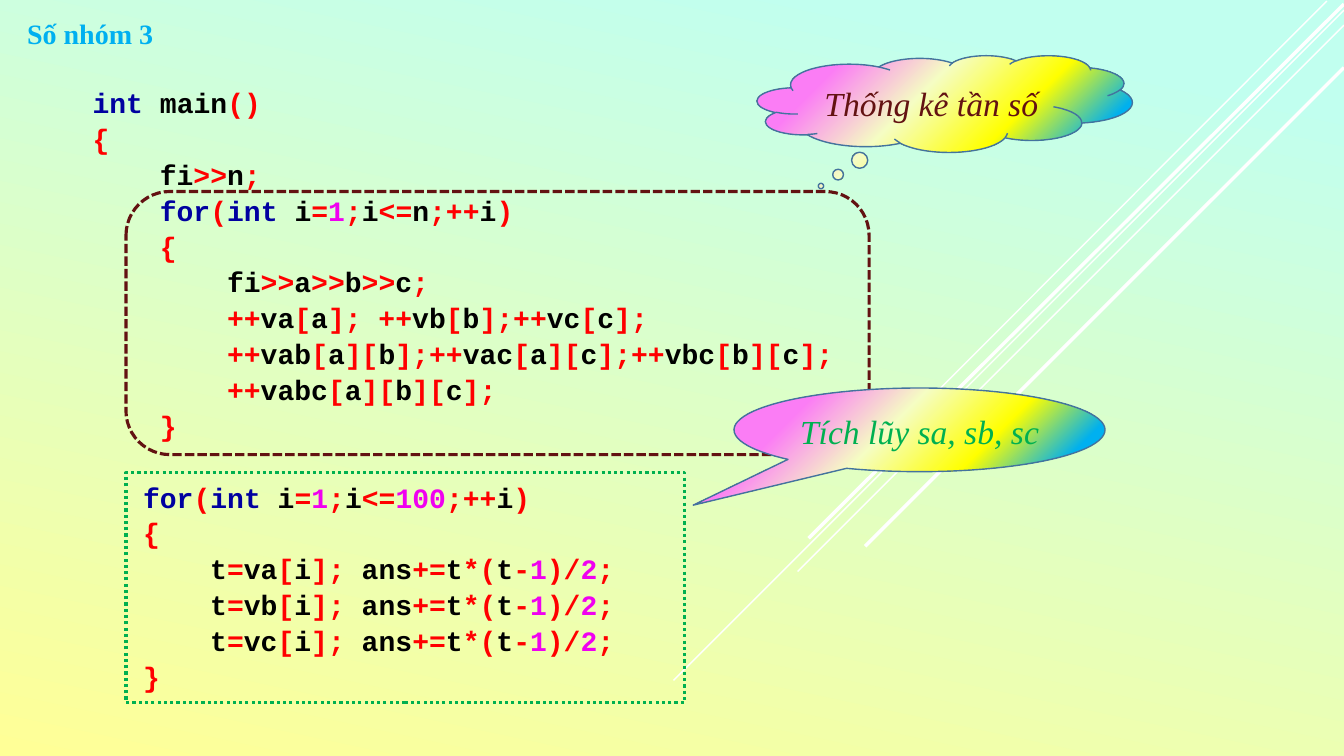
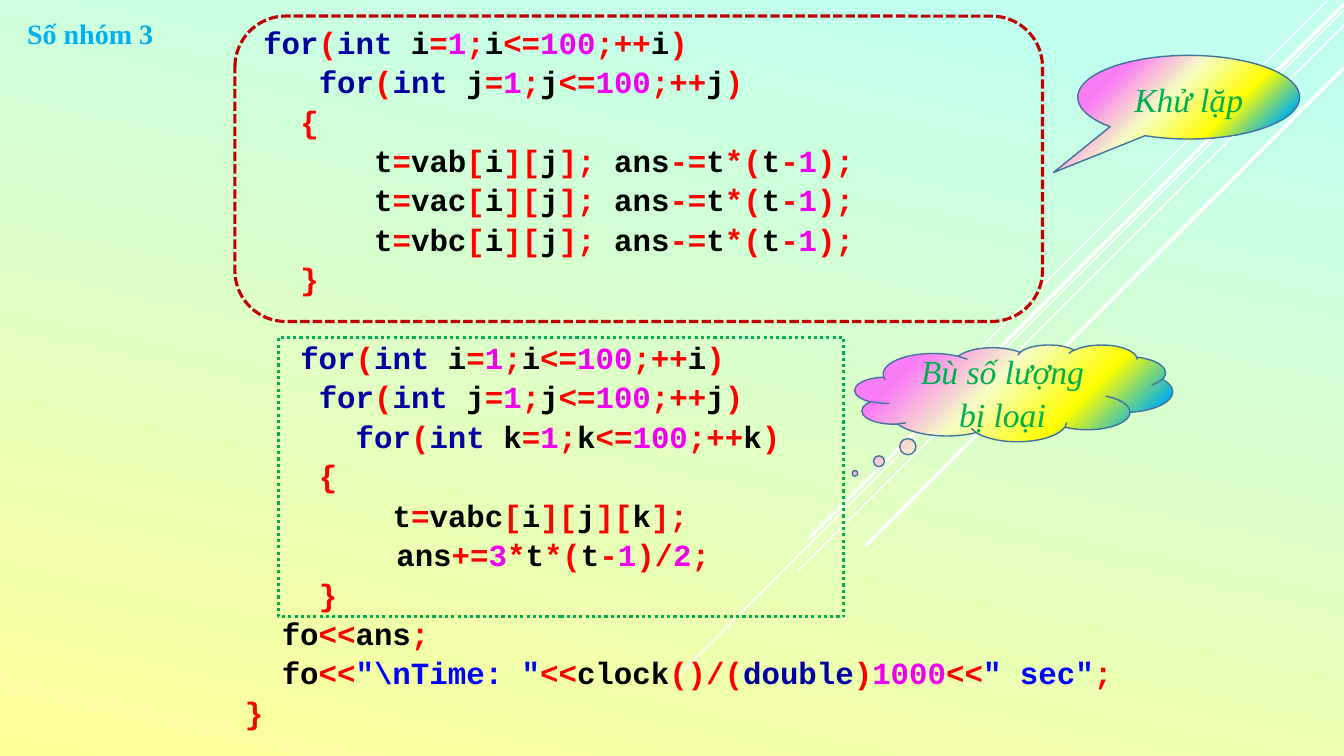
import itertools
import pptx
import pptx.util
import pptx.dml.color
import pptx.enum.dml
import pptx.enum.shapes
import pptx.enum.text
import pptx.oxml
import pptx.oxml.ns

SHAPE = pptx.enum.shapes.MSO_SHAPE
DASH = pptx.enum.dml.MSO_LINE
PX = 9144
SLIDE_SIZE = (1333, 750)
CODE_FONT, PROSE_FONT = "Courier New", "Times New Roman"
COLORS = {
    "title": "00B0F0", "keyword": "0000A0", "plain": "000000",
    "operator": "FF0000", "number": "F000F0", "string": "0000FF",
    "maroon": "631212", "red": "C00000", "green": "00B050",
    "outline": "43739E", "ray": "FFFFFF",
    "mint": "C1FFEF", "straw": "FFFF97",
    "blue": "00B0F0", "yellow": "FFFF00", "cream": "F5FDC3", "pink": "FB7DF5",
}
KEYWORDS = {"int", "for", "double"}
BACKDROP = ([(10, "mint"), (100, "straw")], 102)
RAINBOW = ([(11, "blue"), (32, "yellow"), (57, "cream"), (81, "pink")], 225)
RAYS = [
    ((1316, 1), (900, 418), 1),
    ((1333, 10), (668, 675), 1),
    ((1333, 25), (791, 567), 1),
    ((1333, 4), (802, 534), 2.5),
    ((1333, 67), (858, 542), 2.5),
]
TITLE = ("Số nhóm 3", (17, 11, 216, 44))
DASHED = (SHAPE.ROUNDED_RECTANGLE, DASH.SQUARE_DOT)
DOTTED = (SHAPE.RECTANGLE, DASH.ROUND_DOT)
CLOUD, SPEECH = SHAPE.CLOUD_CALLOUT, SHAPE.OVAL_CALLOUT


def loop(var, last="100"):
    return f"for(int {var}=1;{var}<={last};++{var})"


SLIDES = [
    {
        "code_size": 20,
        "code_box": (82, 78, 918, 622),
        "code": [
            [
                (0, "int main()"),
                (0, "{"),
                (4, "fi>>n;"),
                (4, loop("i", "n")),
                (4, "{"),
                (8, "fi>>a>>b>>c;"),
                (8, "++va[a]; ++vb[b];++vc[c];"),
                (8, "++vab[a][b];++vac[a][c];++vbc[b][c];"),
                (8, "++vabc[a][b][c];"),
                (4, "}"),
            ],
            [
                (3, loop("i")),
                (3, "{"),
                *[(7, f"t={v}[i]; ans+=t*(t-1)/2;") for v in ("va", "vb", "vc")],
                (3, "}"),
            ],
        ],
        "frames": [
            (DASHED, "maroon", (125, 190, 737, 261)),
            (DOTTED, "green", (125, 469, 554, 228)),
        ],
        "callouts": [
            (CLOUD, "Thống kê tần số", "maroon", (751, 55, 372, 96), (-0.33, 0.85)),
            (SPEECH, "Tích lũy sa, sb, sc", "green", (728, 385, 368, 83), (-0.61, 0.9)),
        ],
    },
    {
        "code_size": 22,
        "code_box": (233, 16, 1023, 722),
        "code": [
            [
                (1, loop("i")),
                (4, loop("j")),
                (3, "{"),
                *[(7, f"t={v}[i][j]; ans-=t*(t-1);") for v in ("vab", "vac", "vbc")],
                (3, "}"),
            ],
            [
                (3, loop("i")),
                (4, loop("j")),
                (6, loop("k")),
                (4, "{"),
                (8, "t=vabc[i][j][k];"),
                (8.2, "ans+=3*t*(t-1)/2;"),
                (4, "}"),
                (2, "fo<<ans;"),
                (2, 'fo<<"\\nTime: "<<clock()/(double)1000<<" sec";'),
                (0, "}"),
            ],
        ],
        "frames": [
            (DASHED, "red", (233, 16, 801, 303)),
            (DOTTED, "green", (276, 335, 561, 277)),
        ],
        "callouts": [
            (SPEECH, "Khử lặp", "green", (1069, 55, 220, 83), (-0.61, 0.9)),
            (CLOUD, "Bù số lượng bị loại", "green", (848, 342, 315, 96), (-0.5, 0.83)),
        ],
    },
]


def px(lengths):
    return [length * PX for length in lengths]


def rgb(name):
    return pptx.dml.color.RGBColor.from_string(COLORS[name])


def paint_gradient(fill, owner, stops, angle):
    fill.gradient()
    fill.gradient_angle = 360 - angle
    stop_list = owner.find(".//" + pptx.oxml.ns.qn("a:gsLst"))
    for old in list(stop_list):
        stop_list.remove(old)
    for percent, color in stops:
        stop_list.append(pptx.oxml.parse_xml(
            f'<a:gs {pptx.oxml.ns.nsdecls("a")} pos="{percent * 1000}">'
            f'<a:srgbClr val="{COLORS[color]}"/></a:gs>'))


def draw_outline(line, color, width):
    line.color.rgb = rgb(color)
    line.width = pptx.util.Pt(width)


def add_run(paragraph, text, font, size, color, bold=False, italic=False):
    run = paragraph.add_run()
    run.text = text
    run.font.name = font
    run.font.size = pptx.util.Pt(size)
    run.font.color.rgb = rgb(color)
    run.font.bold = bold
    run.font.italic = italic


def add_text_frame(slide, box):
    frame = slide.shapes.add_textbox(*px(box)).text_frame
    frame.word_wrap = True
    return frame


def color_of(word):
    if word in KEYWORDS:
        return "keyword"
    return "number" if word.isdigit() else "plain"


def tokens(line):
    for index, piece in enumerate(line.split('"')):
        if index % 2:
            yield f'"{piece}"', "string"
            continue
        for is_word, chars in itertools.groupby(piece, str.isalnum):
            token = "".join(chars)
            yield token, color_of(token) if is_word else "operator"


def add_code(slide, box, blocks, size):
    frame = add_text_frame(slide, box)
    pitch = pptx.util.Pt(size * 1.28)
    for number, block in enumerate(blocks):
        for row, (indent, line) in enumerate(block):
            first = number == row == 0
            paragraph = frame.paragraphs[0] if first else frame.add_paragraph()
            paragraph.line_spacing = pitch
            if number and row == 0:
                paragraph.space_before = pitch
            margin = pptx.util.Pt(indent * size * 0.6)
            paragraph._p.get_or_add_pPr().set("marL", str(margin))
            for token, color in tokens(line):
                add_run(paragraph, token, CODE_FONT, size, color, bold=True)


def add_shape(slide, kind, box):
    shape = slide.shapes.add_shape(kind, *px(box))
    shape.shadow.inherit = False
    return shape


def add_frame(slide, style, color, box):
    kind, dash = style
    frame = add_shape(slide, kind, box)
    frame.fill.background()
    draw_outline(frame.line, color, 2.25)
    frame.line.dash_style = dash


def add_callout(slide, kind, text, color, box, tail):
    callout = add_shape(slide, kind, box)
    callout.adjustments[0], callout.adjustments[1] = tail
    paint_gradient(callout.fill, callout._element, *RAINBOW)
    draw_outline(callout.line, "outline", 1)
    callout.text_frame.word_wrap = True
    callout.text_frame.vertical_anchor = pptx.enum.text.MSO_ANCHOR.MIDDLE
    paragraph = callout.text_frame.paragraphs[0]
    paragraph.alignment = pptx.enum.text.PP_ALIGN.CENTER
    paragraph.line_spacing = 1.07
    paragraph.space_after = pptx.util.Pt(8)
    add_run(paragraph, text, PROSE_FONT, 24, color, italic=True)


def add_base(deck):
    slide = deck.slides.add_slide(deck.slide_layouts[6])
    paint_gradient(slide.background.fill, slide._element, *BACKDROP)
    for start, end, width in RAYS:
        ray = slide.shapes.add_connector(
            pptx.enum.shapes.MSO_CONNECTOR.STRAIGHT, *px(start + end))
        draw_outline(ray.line, "ray", width)
        ray._element.spPr.append(pptx.oxml.parse_xml(
            f'<a:effectLst {pptx.oxml.ns.nsdecls("a")}/>'))
    text, box = TITLE
    paragraph = add_text_frame(slide, box).paragraphs[0]
    add_run(paragraph, text, PROSE_FONT, 20, "title", bold=True)
    return slide


def main():
    deck = pptx.Presentation()
    deck.slide_width, deck.slide_height = px(SLIDE_SIZE)
    for content in SLIDES:
        slide = add_base(deck)
        add_code(slide, content["code_box"], content["code"], content["code_size"])
        for frame in content["frames"]:
            add_frame(slide, *frame)
        for callout in content["callouts"]:
            add_callout(slide, *callout)
    deck.save("out.pptx")


if __name__ == "__main__":
    main()
